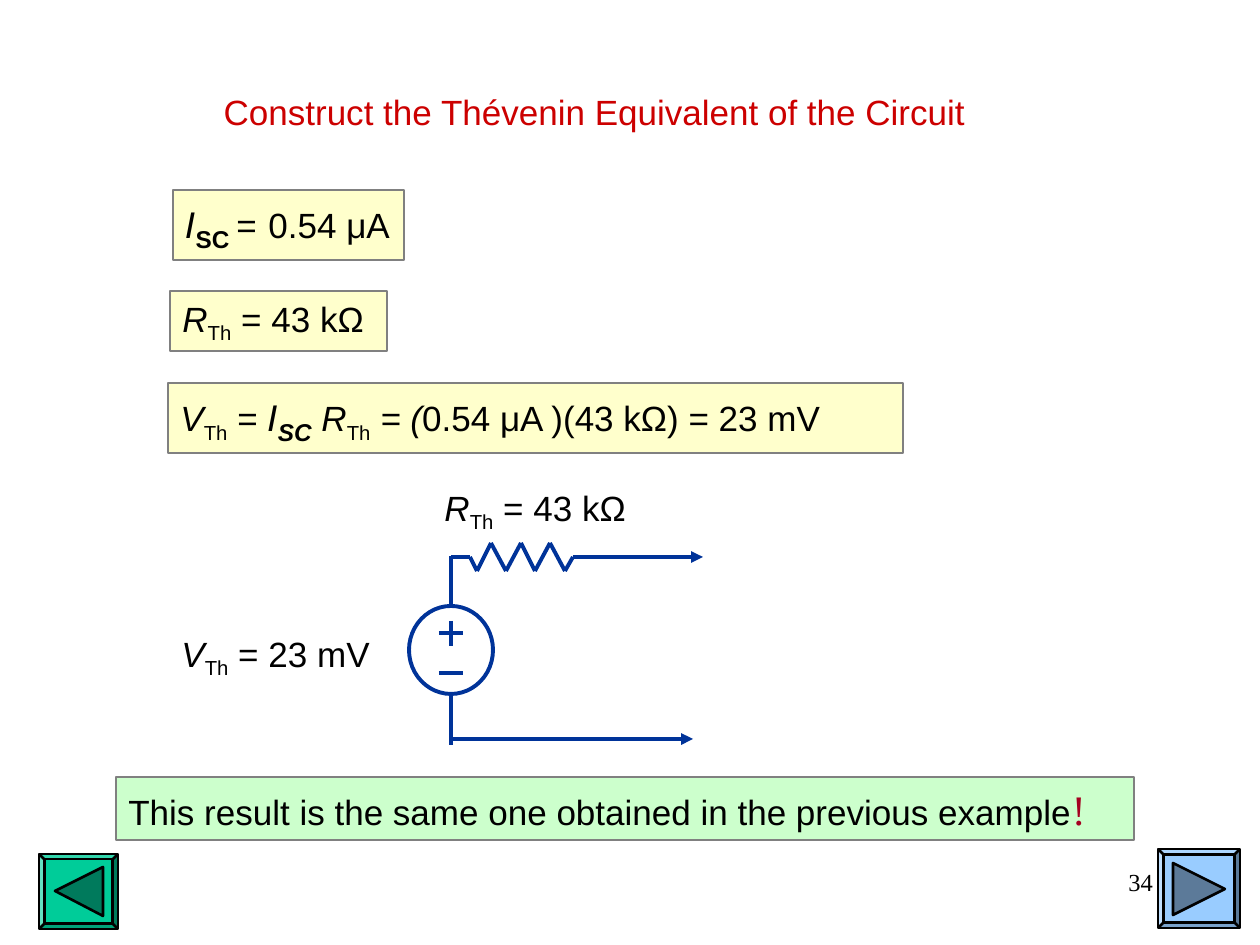
"""Builds the slide on the Thévenin equivalent of a circuit."""
from lxml.etree import SubElement
from pptx import Presentation
from pptx.dml.color import RGBColor
from pptx.enum.shapes import MSO_CONNECTOR, MSO_SHAPE
from pptx.enum.text import MSO_ANCHOR, PP_ALIGN
from pptx.oxml.ns import qn
from pptx.util import Pt

BLACK = RGBColor(0x00, 0x00, 0x00)
GREY = RGBColor(0x80, 0x80, 0x80)
RED = RGBColor(0xCC, 0x00, 0x00)
CRIMSON = RGBColor(0xA5, 0x00, 0x21)
BLUE = RGBColor(0x00, 0x33, 0x99)
CREAM = RGBColor(0xFF, 0xFF, 0xCC)
MINT = RGBColor(0xCC, 0xFF, 0xCC)
SKY = RGBColor(0x99, 0xCC, 0xFF)
DARK_SKY = RGBColor(0x5C, 0x7A, 0x99)
GREEN = RGBColor(0x00, 0xCC, 0x99)
DARK_GREEN = RGBColor(0x00, 0x7A, 0x5C)

EMU_PER_PX = 914400 / 126
SERIF = "Times New Roman"
PLAIN = {}
ITALIC = {"italic": True}
SUB = {"sub": True}
CURRENT = {"italic": True, "name": "DejaVu Sans"}
BOLD_SUB = {"sub": True, "bold": True, "size": 24}


def px(*lengths):
    return [round(length * EMU_PER_PX) for length in lengths]


class CircuitSlide:
    def __init__(self, slide):
        self.shapes = slide.shapes
        self.font = "Arial"
        self.size = 20
        self.wire = 2.25

    def paint(self, shape, fill, line, width):
        shape.shadow.inherit = False
        if fill is None:
            shape.fill.background()
        else:
            shape.fill.solid()
            shape.fill.fore_color.rgb = fill
        shape.line.color.rgb = line
        shape.line.width = Pt(width)

    def add_run(self, paragraph, text, style):
        run = paragraph.add_run()
        run.text = text
        run.font.italic = style.get("italic")
        run.font.bold = style.get("bold")
        if "name" in style:
            run.font.name = style["name"]
        if "size" in style:
            run.font.size = Pt(style["size"])
        if "color" in style:
            run.font.color.rgb = style["color"]
        if "sub" in style:
            run._r.get_or_add_rPr().set("baseline", "-25000")

    def fill_text(self, shape, runs, color=BLACK, align=PP_ALIGN.LEFT,
                  anchor=MSO_ANCHOR.TOP, font=None, size=None):
        frame = shape.text_frame
        frame.word_wrap = True
        frame.vertical_anchor = anchor
        frame.margin_right = 0
        paragraph = frame.paragraphs[0]
        paragraph.alignment = align
        paragraph.font.name = font or self.font
        paragraph.font.size = Pt(size or self.size)
        paragraph.font.color.rgb = color
        for text, style in runs:
            self.add_run(paragraph, text, style)

    def label(self, box, runs, **style):
        self.fill_text(self.shapes.add_textbox(*px(*box)), runs, **style)

    def panel(self, box, fill, runs):
        panel = self.shapes.add_shape(MSO_SHAPE.RECTANGLE, *px(*box))
        self.paint(panel, fill, GREY, 0.75)
        self.fill_text(panel, runs)

    def source(self, box):
        circle = self.shapes.add_shape(MSO_SHAPE.OVAL, *px(*box))
        self.paint(circle, None, BLUE, self.wire)

    def line(self, start, end, arrow=False):
        line = self.shapes.add_connector(MSO_CONNECTOR.STRAIGHT, *px(*start, *end))
        line.line.color.rgb = BLUE
        line.line.width = Pt(self.wire)
        properties = line._element.spPr
        if arrow:
            SubElement(properties.find(qn("a:ln")), qn("a:tailEnd"), type="triangle")
        SubElement(properties, qn("a:effectLst"))

    def button(self, box, fill, arrow_fill, corners):
        bevel = self.shapes.add_shape(MSO_SHAPE.BEVEL, *px(*box))
        bevel.adjustments[0] = 0.07
        self.paint(bevel, fill, BLACK, 1.5)
        builder = self.shapes.build_freeform(*corners[0], scale=EMU_PER_PX)
        builder.add_line_segments(corners[1:], close=True)
        self.paint(builder.convert_to_shape(), arrow_fill, BLACK, 1.5)


def main():
    deck = Presentation()
    deck.slide_width, deck.slide_height = px(1260, 945)
    page = CircuitSlide(deck.slides.add_slide(deck.slide_layouts[6]))

    page.button((1158, 849, 82, 79), SKY, DARK_SKY,
                [(1173, 863), (1225, 889), (1173, 915)])
    page.button((39, 854, 79, 75), GREEN, DARK_GREEN,
                [(55, 891), (103, 867), (103, 916)])
    page.label((903, 861, 250, 63), [("34", PLAIN)],
               align=PP_ALIGN.RIGHT, font=SERIF, size=14)
    page.label((53, 32, 1071, 158),
               [("Construct the Thévenin Equivalent of the Circuit", PLAIN)],
               color=RED, align=PP_ALIGN.CENTER, anchor=MSO_ANCHOR.MIDDLE)

    resistance = [("R", ITALIC), ("Th", SUB), (" = 43 kΩ", PLAIN)]
    voltage = [("V", ITALIC), ("Th", SUB)]
    page.panel((173, 190, 231, 70), CREAM, [
        ("I", CURRENT), ("SC ", BOLD_SUB), ("=", PLAIN),
        (" ", {"size": 24}), ("0.54 μA", PLAIN)])
    page.panel((170, 291, 217, 60), CREAM, resistance)
    page.panel((168, 383, 735, 70), CREAM, voltage + [
        (" = ", PLAIN), ("I", CURRENT), ("SC", BOLD_SUB | ITALIC),
        (" R", ITALIC), ("Th", SUB), (" = (", ITALIC),
        ("0.54 μA )(43 kΩ) = 23 mV", PLAIN)])

    axis, top, bottom = 451, 557, 739
    page.source((409, 606, 84, 88))
    page.line((axis, 606), (axis, 556))
    page.line((axis, 745), (axis, 694))
    for sign_y in (633, 673):
        page.line((axis - 12, sign_y), (axis + 12, sign_y))
    page.line((axis, 621), (axis, 646))

    teeth = [(477 + 44 * i // 3, 543 if i % 2 else 571) for i in range(7)]
    resistor = [(axis, top), (470, top), *teeth, (573, top), (591, top)]
    for start, end in zip(resistor, resistor[1:]):
        page.line(start, end)
    page.line((588, top), (703, top), arrow=True)
    page.line((axis, bottom), (693, bottom), arrow=True)

    page.label((169, 626, 213, 60), voltage + [(" = 23 mV", PLAIN)])
    page.label((432, 480, 207, 60), resistance)
    page.panel((116, 777, 1018, 63), MINT, [
        ("This result is the same one obtained in the previous example", PLAIN),
        ("!", {"name": SERIF, "size": 24, "color": CRIMSON})])
    deck.save("out.pptx")


if __name__ == "__main__":
    main()
